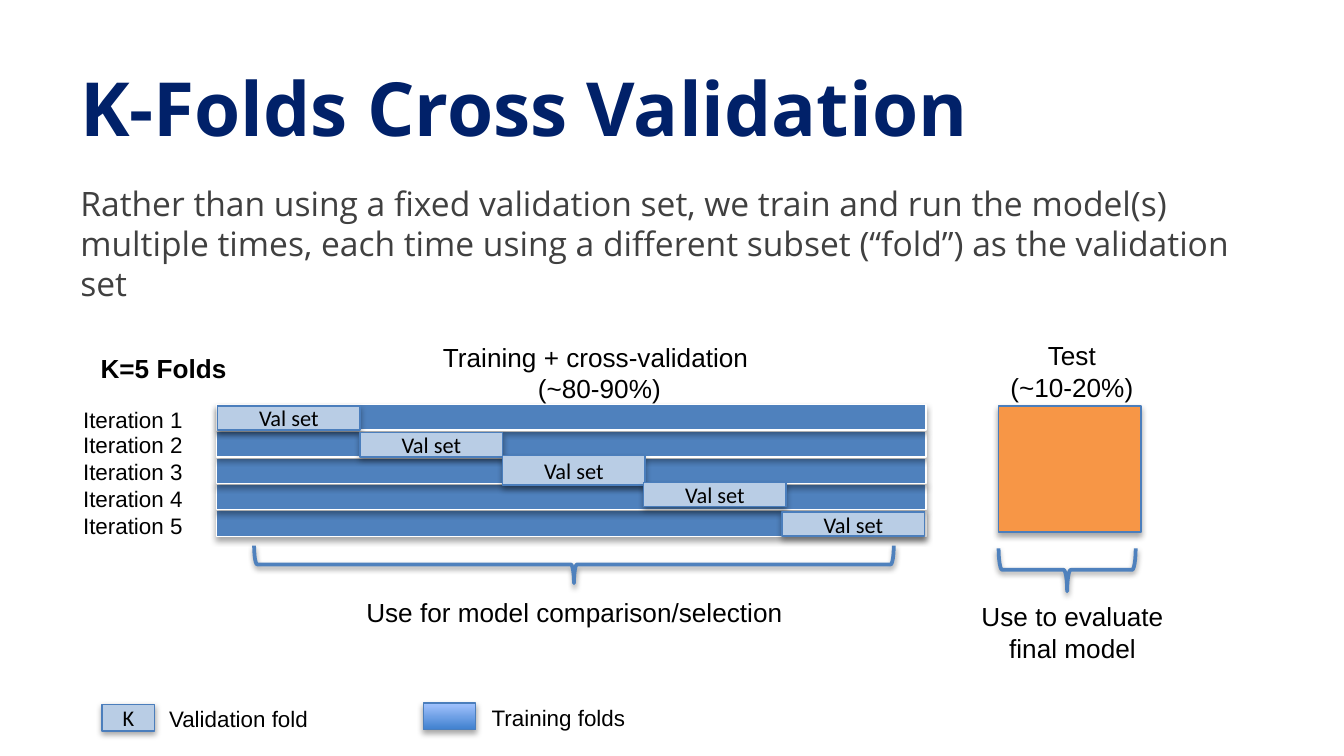
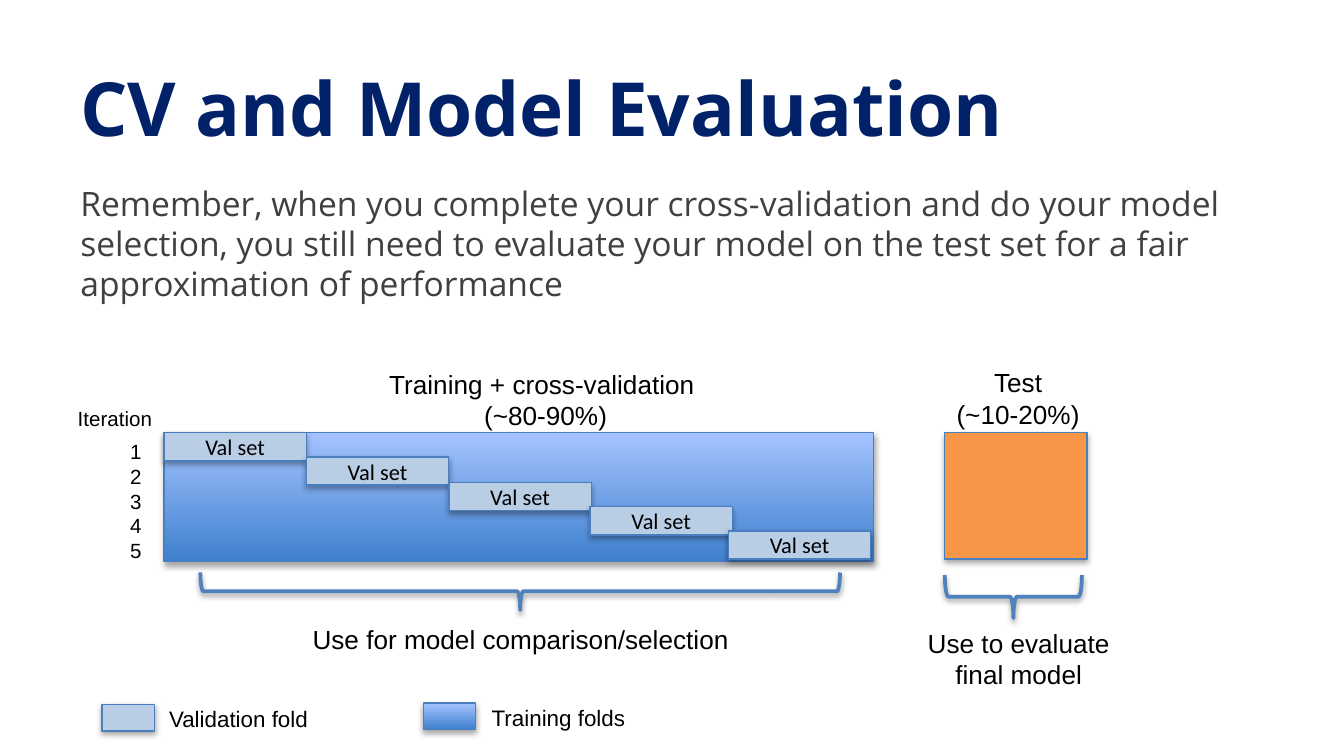
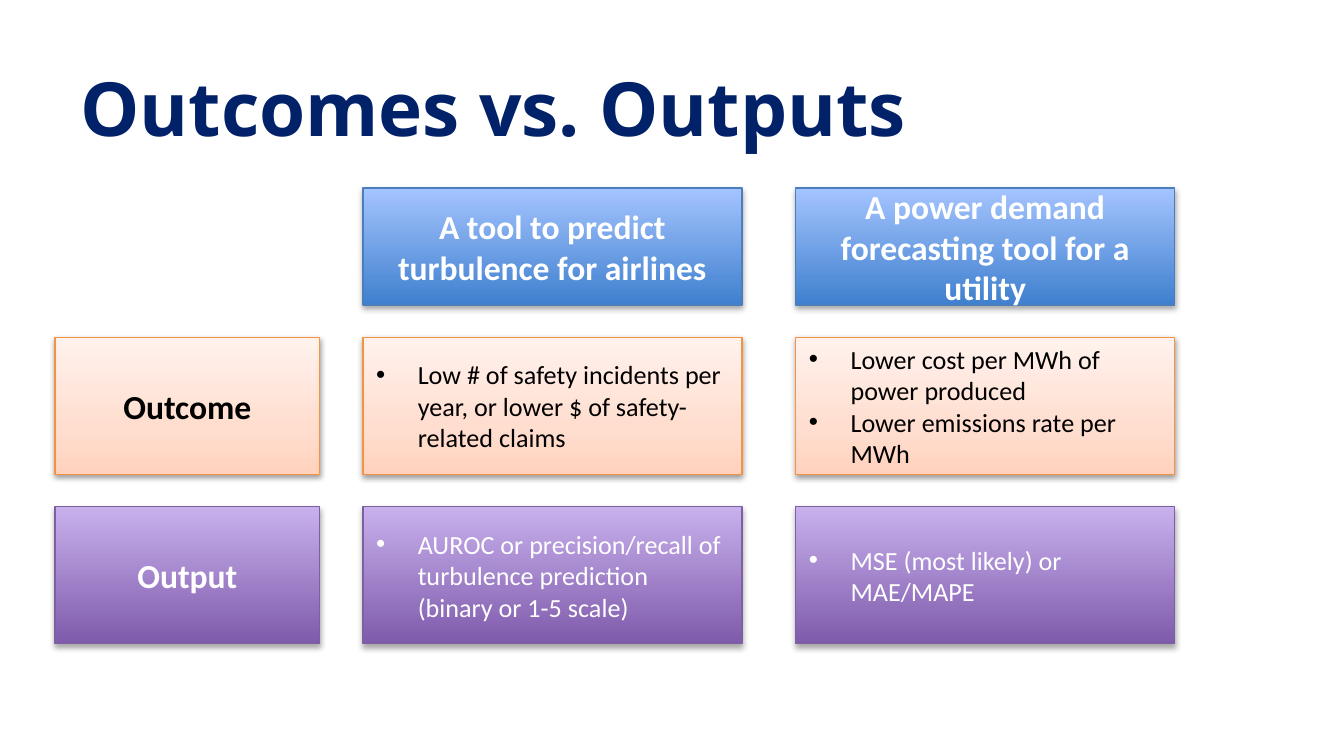
from lxml import etree
from pptx import Presentation
from pptx.dml.color import RGBColor
from pptx.enum.shapes import MSO_SHAPE
from pptx.enum.text import MSO_ANCHOR, MSO_AUTO_SIZE, PP_ALIGN
from pptx.oxml.ns import qn
from pptx.util import Emu, Pt

PX = 9144
RECT, BRACE = MSO_SHAPE.RECTANGLE, MSO_SHAPE.RIGHT_BRACE
LEFT, CENTER = PP_ALIGN.LEFT, PP_ALIGN.CENTER
TOP, MIDDLE = MSO_ANCHOR.TOP, MSO_ANCHOR.MIDDLE
GROW = MSO_AUTO_SIZE.SHAPE_TO_FIT_TEXT

NAVY = RGBColor(0x01, 0x21, 0x69)
GRAY = RGBColor(0x40, 0x40, 0x40)
BLACK = RGBColor(0x00, 0x00, 0x00)
WHITE = RGBColor(0xFF, 0xFF, 0xFF)
BLUE = RGBColor(0x4F, 0x81, 0xBD)
BLUE_EDGE = RGBColor(0x4B, 0x7E, 0xBC)
PALE_BLUE = RGBColor(0xB9, 0xCD, 0xE5)
ORANGE = RGBColor(0xF7, 0x96, 0x46)
ORANGE_EDGE = RGBColor(0xF6, 0x92, 0x40)
PURPLE_EDGE = RGBColor(0x7D, 0x60, 0xA0)
BLUE_BLEND = ((0, RGBColor(0x3F, 0x80, 0xCE)), (100, RGBColor(0xA4, 0xC4, 0xFF)))
PURPLE_BLEND = ((0, RGBColor(0x7F, 0x5B, 0xAB)), (100, RGBColor(0xC8, 0xB0, 0xED)))
PEACH_BLEND = (
    (0, RGBColor(0xFF, 0xD2, 0xBD)),
    (35, RGBColor(0xFF, 0xDE, 0xD0)),
    (100, RGBColor(0xFF, 0xF2, 0xED)),
)

TITLE = dict(name="Open Sans", size=Pt(40), bold=True)
BODY = dict(name="Open Sans", size=Pt(18))
LABEL = dict(name="Arial", size=Pt(14))
LABEL_BOLD = dict(LABEL, bold=True)
SMALL = dict(name="Arial", size=Pt(12))
TINY = dict(name="Arial", size=Pt(11))
FOLD = dict(name="Calibri", size=Pt(12))
HEADING = dict(name="Calibri", size=Pt(18), bold=True)
POINT = dict(name="Calibri", size=Pt(14))

HARD_SHADOW = dict(alpha=35, dist=23000)
SOFT_SHADOW = dict(alpha=38, dist=20000)

FOLD_X = (0, 106, 212, 317, 420)


def px(*lengths):
    return [Emu(n * PX) for n in lengths]


def add_bullet(p):
    pPr = p._p.get_or_add_pPr()
    pPr.set("marL", str(31 * PX))
    pPr.set("indent", str(-31 * PX))
    etree.SubElement(pPr, qn("a:buFont")).set("typeface", "Arial")
    etree.SubElement(pPr, qn("a:buChar")).set("char", "•")


def write(sp, text, fmt, color, align=LEFT, anchor=TOP, bullets=False):
    tf = sp.text_frame
    tf.word_wrap = True
    tf.vertical_anchor = anchor
    for i, line in enumerate(text.split("\n")):
        p = tf.paragraphs[0] if i == 0 else tf.add_paragraph()
        p.alignment = align
        if bullets:
            add_bullet(p)
        r = p.add_run()
        r.text = line
        for key, value in fmt.items():
            setattr(r.font, key, value)
        r.font.color.rgb = color
    return tf


def add_text(s, box, text, fmt, color=BLACK, align=LEFT, anchor=TOP):
    return write(s.shapes.add_textbox(*px(*box)), text, fmt, color, align, anchor)


def add_label(s, box, text, fmt=LABEL, align=CENTER):
    add_text(s, box, text, fmt, align=align).auto_size = GROW


def add_shadow(sp, alpha, dist):
    sp.shadow.inherit = False
    effects = sp._element.spPr.find(qn("a:effectLst"))
    shadow = etree.SubElement(
        effects, qn("a:outerShdw"), blurRad="40000", dist=str(dist),
        dir="5400000", rotWithShape="0")
    color = etree.SubElement(shadow, qn("a:srgbClr"), val="000000")
    etree.SubElement(color, qn("a:alpha"), val=str(alpha * 1000))


def fill_blend(sp, blend):
    sp.fill.gradient()
    sp.fill.gradient_angle = 90
    stops = sp._element.spPr.find(qn("a:gradFill")).find(qn("a:gsLst"))
    for stop in list(stops):
        stops.remove(stop)
    for pos, color in blend:
        stop = etree.SubElement(stops, qn("a:gs"), pos=str(pos * 1000))
        etree.SubElement(stop, qn("a:srgbClr"), val=str(color))


def add_box(s, box, fill, edge=BLUE_EDGE, shadow=HARD_SHADOW):
    sp = s.shapes.add_shape(RECT, *px(*box))
    if isinstance(fill, RGBColor):
        sp.fill.solid()
        sp.fill.fore_color.rgb = fill
    else:
        fill_blend(sp, fill)
    sp.line.color.rgb = edge
    sp.line.width = Pt(0.75)
    add_shadow(sp, **shadow)
    return sp


def add_brace(s, box):
    sp = s.shapes.add_shape(BRACE, *px(*box))
    sp.rotation = 90
    sp.fill.background()
    sp.line.color.rgb = BLUE
    sp.line.width = Pt(2)
    add_shadow(sp, **SOFT_SHADOW)


def add_slide(prs, title, body=None, body_h=156):
    s = prs.slides.add_slide(prs.slide_layouts[6])
    add_text(s, (50, 42, 900, 74), title, TITLE, NAVY, anchor=MIDDLE)
    if body:
        add_text(s, (50, 131, 900, body_h), body, BODY, GRAY)
    return s


def add_split(s, x, y, folds):
    add_box(s, (x + 581, y, 106, 94), ORANGE)
    add_label(s, (x + 82, y - 53, 404, 57), "Training + cross-validation \n(~80-90%)")
    add_label(s, (x + 570, y - 54, 131, 57), "Test\n(~10-20%)")
    add_brace(s, (x + 251, y - 120, 28, 476))
    add_brace(s, (x + 616, y + 71, 32, 102))
    add_label(s, (x + 61, y + 137, 409, 34), "Use for model comparison/selection")
    add_label(s, (x + 547, y + 140, 178, 57), "Use to evaluate final model")
    for dx, (dy, h) in zip(FOLD_X, folds):
        sp = add_box(s, (x + dx, y + dy, 106, h), PALE_BLUE)
        write(sp, "Val set", FOLD, BLACK, CENTER, MIDDLE)


def add_legend(s, x, y, mark=None):
    sp = add_box(s, (x, y + 1, 39, 20), PALE_BLUE)
    if mark:
        write(sp, mark, FOLD, BLACK, CENTER, MIDDLE)
    add_label(s, (x + 34, y - 3, 135, 30), "Validation fold", SMALL)
    add_box(s, (x + 239, y, 39, 20), BLUE_BLEND)
    add_label(s, (x + 280, y - 4, 135, 30), "Training folds", SMALL, LEFT)


def k_folds_slide(prs):
    s = add_slide(
        prs, "K-Folds Cross Validation",
        "Rather than using a fixed validation set, we train and run the model(s) "
        "multiple times, each time using a different subset (“fold”) as the "
        "validation set")
    x, y = 162, 302
    for i in reversed(range(5)):
        add_box(s, (x - 1, y - 1 + (79 * i + 2) // 4, 528, 19), BLUE, WHITE)
    for i in range(5):
        add_label(s, (x - 110, y - 5 + 79 * i // 4, 106, 30), f"Iteration {i + 1}", SMALL, LEFT)
    add_split(s, x, y, ((0, 18), (20, 18), (37, 22), (57, 18), (79, 18)))
    add_label(s, (x - 97, y - 45, 125, 34), "K=5 Folds", LABEL_BOLD, LEFT)
    add_legend(s, 76, 523, "K")


def evaluation_slide(prs):
    s = add_slide(
        prs, "CV and Model Evaluation",
        "Remember, when you complete your cross-validation and do your model "
        "selection, you still need to evaluate your model on the test set for a "
        "fair approximation of performance", 348)
    x, y = 122, 322
    add_box(s, (x, y, 528, 96), BLUE_BLEND)
    add_split(s, x, y, [((73 * i + 2) // 4, 21) for i in range(5)])
    add_label(s, (x - 74, y - 25, 92, 29), "Iteration", TINY, LEFT)
    add_label(s, (x - 35, y, 41, 121), "1\n2\n3\n4\n5", TINY, LEFT)
    add_legend(s, 76, 523)


def add_row(s, y, h, cells, fill, edge, color, shadow=HARD_SHADOW, bullets=True):
    for i, ((x, w), text) in enumerate(zip(((41, 197), (270, 282), (592, 282)), cells)):
        if not text:
            continue
        sp = add_box(s, (x, y, w, h), fill, edge, shadow)
        if bullets and i:
            write(sp, text, POINT, color, LEFT, MIDDLE, bullets=True)
        else:
            write(sp, text, HEADING, color, CENTER, MIDDLE)


def outcomes_slide(prs):
    s = add_slide(prs, "Outcomes vs. Outputs")
    add_row(s, 140, 87, (
        None,
        "A tool to predict turbulence for airlines",
        "A power demand forecasting tool for a utility",
    ), BLUE_BLEND, BLUE_EDGE, WHITE, bullets=False)
    add_row(s, 251, 102, (
        "Outcome",
        "Low # of safety incidents per year, or lower $ of safety-related claims",
        "Lower cost per MWh of power produced\nLower emissions rate per MWh",
    ), PEACH_BLEND, ORANGE_EDGE, BLACK, SOFT_SHADOW)
    add_row(s, 377, 102, (
        "Output",
        "AUROC or precision/recall of turbulence prediction (binary or 1-5 scale)",
        "MSE (most likely) or MAE/MAPE",
    ), PURPLE_BLEND, PURPLE_EDGE, WHITE)


def main():
    prs = Presentation()
    prs.slide_width = Emu(1000 * PX)
    prs.slide_height = Emu(prs.slide_width * 9 // 16)
    k_folds_slide(prs)
    evaluation_slide(prs)
    outcomes_slide(prs)
    prs.save("out.pptx")


if __name__ == "__main__":
    main()
